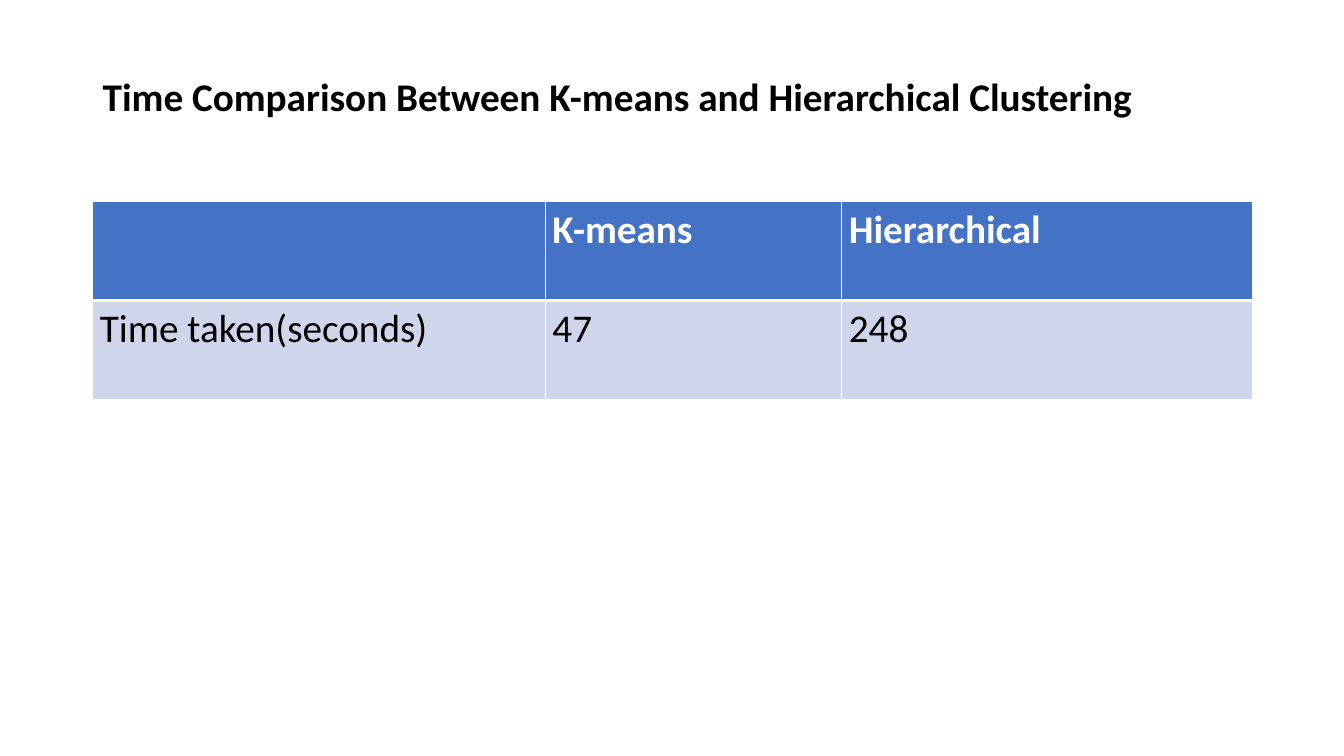
import pptx
import pptx.util
import pptx.dml.color
import pptx.enum.text
import lxml.etree
from pptx.oxml.ns import qn

Inches = pptx.util.Inches


def color(value):
    return pptx.dml.color.RGBColor.from_string(value)


def write_text(paragraph, text, hex_color, bold):
    run = paragraph.add_run()
    run.text = text
    font_format = {"name": "Calibri", "size": pptx.util.Pt(28), "bold": bold}
    for attribute, value in font_format.items():
        setattr(run.font, attribute, value)
    run.font.color.rgb = color(hex_color)


presentation = pptx.Presentation()
presentation.slide_width = Inches(13.33)
presentation.slide_height = Inches(7.5)
slide = presentation.slides.add_slide(presentation.slide_layouts[6])

left, width = Inches(0.92), Inches(11.5)

title = slide.shapes.add_textbox(left, Inches(0.4), width, Inches(1.16))
title_format = {
    "word_wrap": True,
    "vertical_anchor": pptx.enum.text.MSO_ANCHOR.MIDDLE,
}
for attribute, value in title_format.items():
    setattr(title.text_frame, attribute, value)
title_paragraph = title.text_frame.paragraphs[0]
title_paragraph.line_spacing = 0.9
write_text(
    title_paragraph,
    "Time Comparison Between K-means and Hierarchical Clustering",
    "000000",
    True,
)

table_rows = [
    ["", "K-means", "Hierarchical"],
    ["Time taken(seconds)", "47", "248"],
]
row_styles = [
    {"fill": "4472C4", "text": "FFFFFF", "bold": True,
     "borders": {"lnL": 1, "lnR": 1, "lnT": 1, "lnB": 3}},
    {"fill": "CFD5EA", "text": "000000", "bold": False,
     "borders": {"lnL": 1, "lnR": 1, "lnT": 3, "lnB": 1}},
]
cell_format = {
    "margin_left": Inches(0.07),
    "margin_right": Inches(0.07),
    "margin_top": Inches(0.05),
    "margin_bottom": Inches(0.05),
}

table = slide.shapes.add_table(2, 3, left, Inches(2), width, Inches(1.96)).table
for column, column_width in zip(table.columns, [4.49, 2.94, 4.07]):
    column.width = Inches(column_width)

for row, texts, style in zip(table.rows, table_rows, row_styles):
    row.height = Inches(0.98)
    for cell, text in zip(row.cells, texts):
        for attribute, value in cell_format.items():
            setattr(cell, attribute, value)
        if text:
            paragraph = cell.text_frame.paragraphs[0]
            write_text(paragraph, text, style["text"], style["bold"])
        cell_properties = cell._tc.get_or_add_tcPr()
        for edge, points in style["borders"].items():
            border = lxml.etree.SubElement(
                cell_properties, qn("a:" + edge), w=str(pptx.util.Pt(points))
            )
            border_fill = lxml.etree.SubElement(border, qn("a:solidFill"))
            lxml.etree.SubElement(border_fill, qn("a:srgbClr"), val="FFFFFF")
        cell.fill.solid()
        cell.fill.fore_color.rgb = color(style["fill"])

presentation.save("out.pptx")
